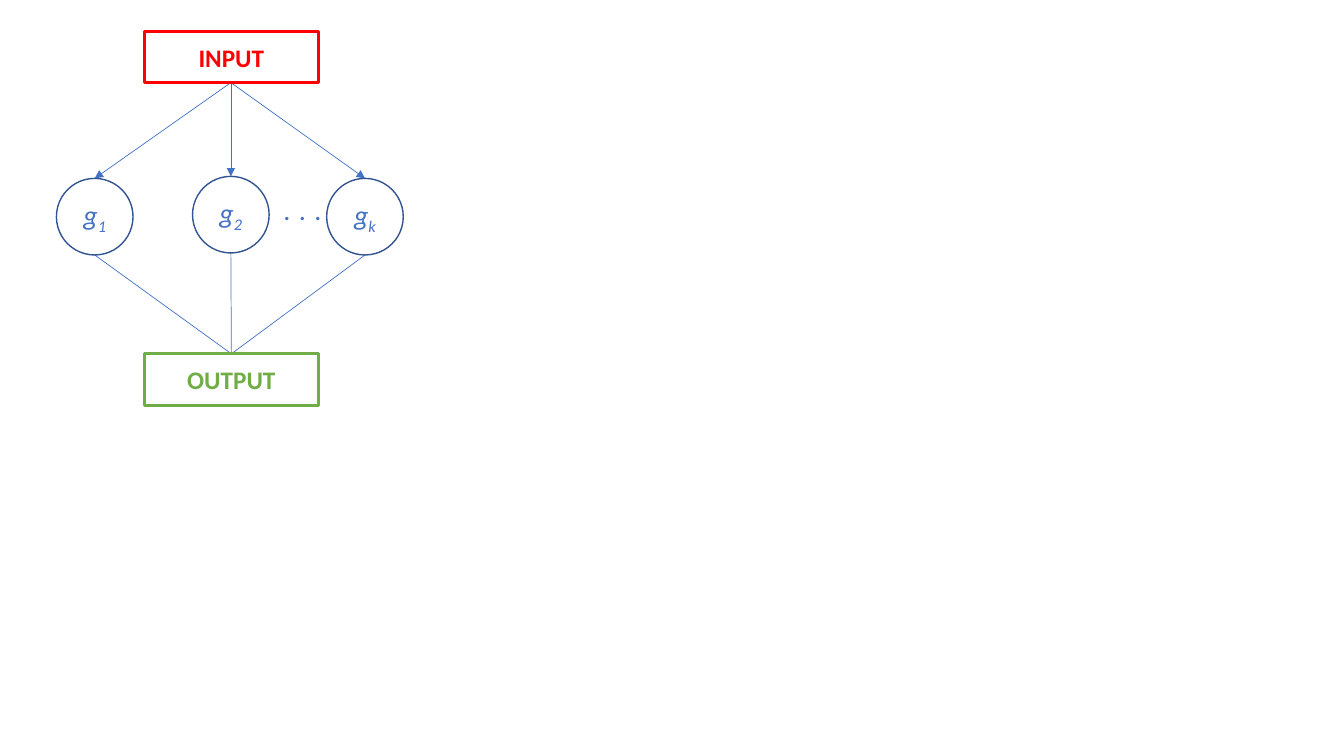
from lxml import etree
from pptx import Presentation
from pptx.dml.color import RGBColor
from pptx.enum.shapes import MSO_CONNECTOR, MSO_SHAPE
from pptx.enum.text import MSO_ANCHOR, MSO_AUTO_SIZE, PP_ALIGN
from pptx.oxml.ns import qn
from pptx.util import Inches, Pt

STRAIGHT = MSO_CONNECTOR.STRAIGHT
OVAL, RECT = MSO_SHAPE.OVAL, MSO_SHAPE.RECTANGLE
MIDDLE, CENTER = MSO_ANCHOR.MIDDLE, PP_ALIGN.CENTER
FIT_SHAPE = MSO_AUTO_SIZE.SHAPE_TO_FIT_TEXT

BLUE = RGBColor(0x44, 0x72, 0xC4)
NAVY = RGBColor(0x32, 0x54, 0x91)
RED = RGBColor(0xFF, 0x00, 0x00)
GREEN = RGBColor(0x70, 0xAD, 0x47)

FONT = "Calibri"
COLUMNS = (0.94, 2.29, 3.62)
NODE_TOPS = (1.77, 1.75, 1.77)
SUBSCRIPTS = ("1", "2", "k")
NODE_SIZE = 0.76
BOX_W, BOX_H = 1.73, 0.51
BOX_CENTER = 2.295
INPUT_TOP, OUTPUT_TOP = 0.31, 3.51


def style_paragraph(p, size, color, bold=False, italic=False):
    p.alignment = CENTER
    p.font.name = FONT
    p.font.size = Pt(size)
    p.font.color.rgb = color
    p.font.bold = bold
    p.font.italic = italic


def add_outline(slide, kind, center, top, width, height, color, weight):
    sp = slide.shapes.add_shape(kind, Inches(center - width / 2), Inches(top),
                                Inches(width), Inches(height))
    sp.shadow.inherit = False
    sp.fill.background()
    sp.line.color.rgb = color
    sp.line.width = Pt(weight)
    sp.text_frame.vertical_anchor = MIDDLE
    return sp.text_frame.paragraphs[0]


def add_box(slide, text, top, color):
    p = add_outline(slide, RECT, BOX_CENTER, top, BOX_W, BOX_H, color, 2)
    p.add_run().text = text
    style_paragraph(p, 18, color, bold=True)


def add_node(slide, center, top, subscript):
    p = add_outline(slide, OVAL, center, top, NODE_SIZE, NODE_SIZE, NAVY, 1)
    p.add_run().text = "g"
    r = p.add_run()
    r.text = subscript
    r.font._element.set("baseline", "-25000")
    style_paragraph(p, 20, BLUE, italic=True)


def add_dots(slide):
    sp = slide.shapes.add_textbox(Inches(2.67), Inches(1.86),
                                  Inches(0.66), Inches(0.44))
    tf = sp.text_frame
    tf.word_wrap = True
    tf.auto_size = FIT_SHAPE
    p = tf.paragraphs[0]
    r = p.add_run()
    r.text = "..."
    r.font._element.set("spc", "600")
    style_paragraph(p, 20, BLUE)


def add_link(slide, start, end, arrow=False):
    link = slide.shapes.add_connector(STRAIGHT, *map(Inches, start + end))
    link.line.color.rgb = BLUE
    link.line.width = Pt(0.5)
    if arrow:
        etree.SubElement(link.line._get_or_add_ln(), qn("a:tailEnd"),
                         type="triangle")
    etree.SubElement(link._element.spPr, qn("a:effectLst"))


def main():
    prs = Presentation()
    prs.slide_width, prs.slide_height = Inches(13.33), Inches(7.5)
    slide = prs.slides.add_slide(prs.slide_layouts[6])
    source = (COLUMNS[1], INPUT_TOP + BOX_H)
    sink = (BOX_CENTER, OUTPUT_TOP)
    for center, top, subscript in zip(COLUMNS, NODE_TOPS, SUBSCRIPTS):
        add_link(slide, source, (center, top), arrow=True)
        add_link(slide, (center, top + NODE_SIZE), sink)
        add_node(slide, center, top, subscript)
    add_dots(slide)
    add_box(slide, "INPUT", INPUT_TOP, RED)
    add_box(slide, "OUTPUT", OUTPUT_TOP, GREEN)
    prs.save("out.pptx")


if __name__ == "__main__":
    main()
